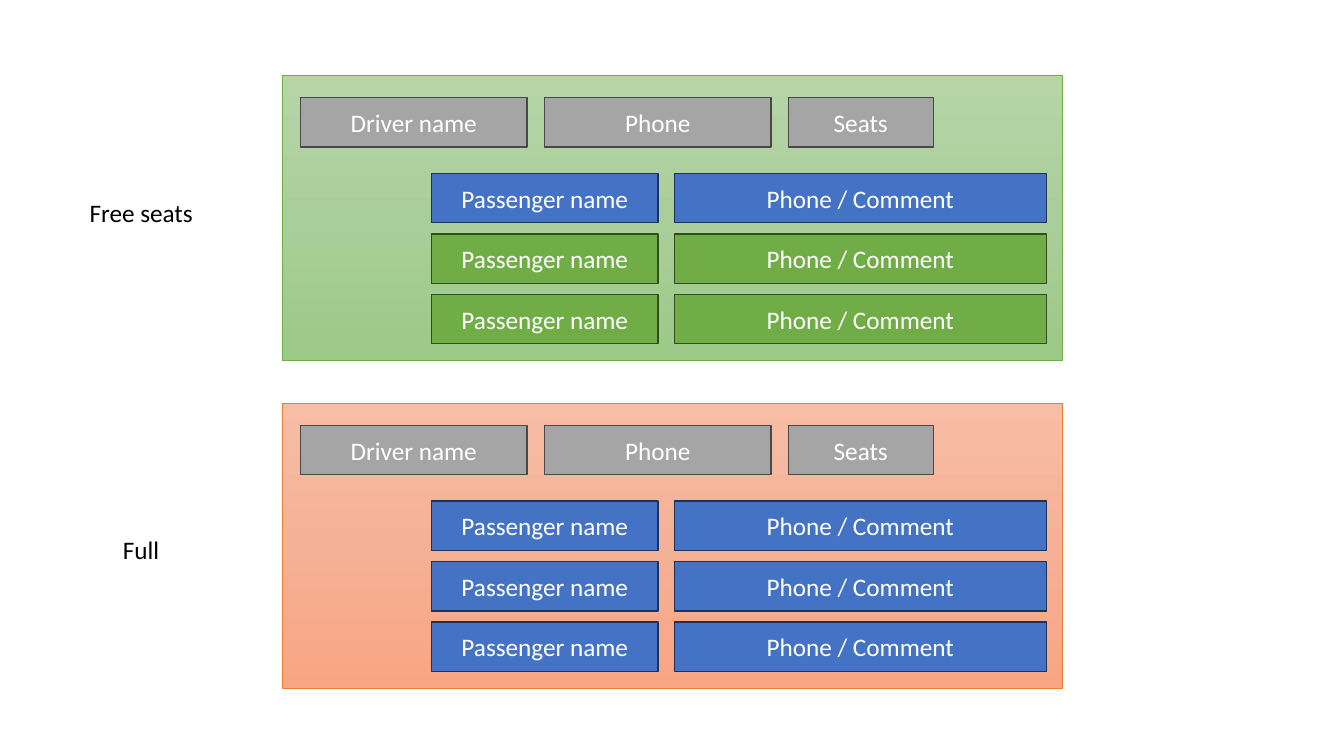
"""Build a slide of two ride panels: one with free seats and one full."""
from copy import deepcopy
from dataclasses import dataclass

from pptx import Presentation
from pptx import util as u
from pptx.dml import color
from pptx.enum import shapes, text

COLORS = {
    "white": "FFFFFF", "black": "000000",
    "gray": "A5A5A5", "gray_line": "484848",
    "blue": "4472C4", "blue_line": "1E3256",
    "green": "70AD47", "green_line": "314C1F",
    "orange": "ED7D31",
    "green_top": "B5D5A7", "green_mid": "AACE9A", "green_end": "9CC987",
    "orange_top": "F7BDA5", "orange_mid": "F5B196", "orange_end": "F8A582",
}
FONT = {"name": "Calibri", "size": u.Pt(18)}
BOX_FRAME = {"word_wrap": True, "vertical_anchor": text.MSO_ANCHOR.MIDDLE}
LABEL_FRAME = {"word_wrap": False, "auto_size": text.MSO_AUTO_SIZE.SHAPE_TO_FIT_TEXT}

PANEL_LEFT, PANEL_W, PANEL_H = 201.6, 557.28, 203.76
BOX_H = 35.28
HEADER_DY, SEAT_DY, SEAT_PITCH = 15.84, 69.84, 43.2


@dataclass(frozen=True)
class Column:
    """A captioned column of boxes."""
    caption: str
    left: float
    width: float


@dataclass(frozen=True)
class Panel:
    """A ride with its label and the colours of its seats."""
    label: Column
    label_top: float
    top: float
    tone: str
    seats: tuple[str, ...]


HEADER = (Column("Driver name", 214.56, 162), Column("Phone", 388.8, 162),
          Column("Seats", 563.04, 103.68))
SEAT = (Column("Passenger name", 308.16, 162), Column("Phone / Comment", 481.68, 265.68))
PANELS = (
    Panel(Column("Free seats", 56.88, 89.28), 137.52, 54, "green", ("blue", "green", "green")),
    Panel(Column("Full", 80.64, 41.04), 378, 288, "orange", ("blue",) * 3),
)


def rgb(name: str) -> color.RGBColor:
    """Return the named colour."""
    return color.RGBColor.from_string(COLORS[name])


def apply(obj, values: dict) -> None:
    """Set each format value on the object."""
    for key, value in values.items():
        setattr(obj, key, value)


def write(sp, caption: str, ink: str, frame: dict, align=None) -> None:
    """Put one formatted line of text in a shape."""
    tf = sp.text_frame
    apply(tf, frame)
    p = tf.paragraphs[0]
    p.alignment = align
    r = p.add_run()
    r.text = caption
    apply(r.font, FONT)
    r.font.color.rgb = rgb(ink)


def add_rect(s, left: float, top: float, width: float, height: float, line: str, weight: float):
    """Add an outlined rectangle without a shadow."""
    sp = s.shapes.add_shape(shapes.MSO_SHAPE.RECTANGLE,
                            *(u.Pt(v) for v in (left, top, width, height)))
    sp.shadow.inherit = False
    sp.line.color.rgb = rgb(line)
    sp.line.width = u.Pt(weight)
    return sp


def add_boxes(s, columns: tuple[Column, ...], top: float, tone: str) -> None:
    """Add one row of captioned boxes."""
    for col in columns:
        sp = add_rect(s, col.left, top, col.width, BOX_H, f"{tone}_line", 1)
        sp.fill.solid()
        sp.fill.fore_color.rgb = rgb(tone)
        write(sp, col.caption, "white", BOX_FRAME, text.PP_ALIGN.CENTER)


def shade(sp, tone: str) -> None:
    """Fill a shape with a three-stop gradient running down."""
    sp.fill.gradient()
    sp.fill.gradient_angle = 270
    first = next(sp._element.spPr.iter("{*}gs"))
    first.addnext(deepcopy(first))
    for stop, position, part in zip(sp.fill.gradient_stops, (0, 0.5, 1), ("top", "mid", "end")):
        stop.position = position
        stop.color.rgb = rgb(f"{tone}_{part}")


def add_panel(s, panel: Panel) -> None:
    """Add a ride panel, its boxes and its label."""
    shade(add_rect(s, PANEL_LEFT, panel.top, PANEL_W, PANEL_H, panel.tone, 0.5), panel.tone)
    add_boxes(s, HEADER, panel.top + HEADER_DY, "gray")
    for i, tone in enumerate(panel.seats):
        add_boxes(s, SEAT, panel.top + SEAT_DY + i * SEAT_PITCH, tone)
    label = panel.label
    sp = s.shapes.add_textbox(u.Pt(label.left), u.Pt(panel.label_top), u.Pt(label.width), u.Pt(28.8))
    write(sp, label.caption, "black", LABEL_FRAME)


def main() -> None:
    """Build and save the slide."""
    prs = Presentation()
    apply(prs, {"slide_width": u.Pt(960), "slide_height": u.Pt(540)})
    s = prs.slides.add_slide(prs.slide_layouts.get_by_name("Blank"))
    for panel in PANELS:
        add_panel(s, panel)
    prs.save("out.pptx")


if __name__ == "__main__":
    main()
